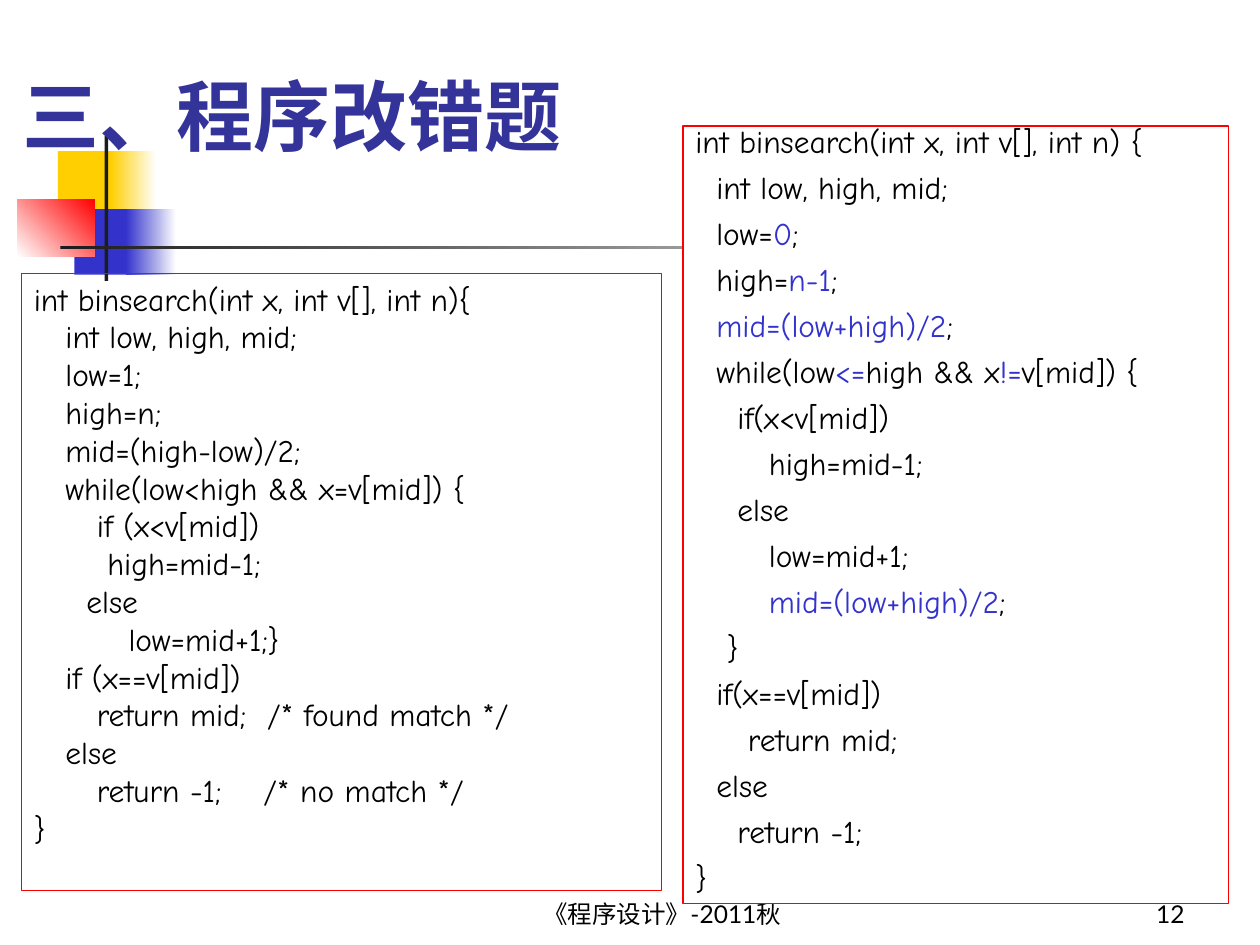
from dataclasses import dataclass

from pptx import Presentation
from pptx import util as u
from pptx.dml.color import RGBColor
from pptx.enum import shapes, text


@dataclass(frozen=True)
class Theme:
    font: str = "Comic Neue"
    small: str = "Lato"
    black: str = "000000"
    white: str = "FFFFFF"
    ink: str = "1C1C1C"
    gold: str = "FFCF01"
    blue: str = "3333CC"
    navy: str = "333399"
    red: str = "FF0000"
    head: int = 44
    code: int = 18
    foot: int = 14


T = Theme()

# Backticks enclose the corrected parts of the code
FAULTY = """int binsearch(int x, int v[], int n){
   int low, high, mid;
   low=1;
   high=n;
   mid=(high-low)/2;
   while(low<high && x=v[mid]) {
      if (x<v[mid])
\t high=mid-1;
     else
         low=mid+1;}
   if (x==v[mid])
\treturn mid;  /* found match */
   else 
\treturn -1;    /* no match */
}"""

FIXED = """int binsearch(int x, int v[], int n) {
  int low, high, mid;
  low=`0`;
  high=`n-1`;
  `mid=(low+high)/2`;
  while(low`<=`high && x`!=`v[mid]) {
    if(x<v[mid])
       high=mid-1;
    else
       low=mid+1;
       `mid=(low+high)/2`;
   }
  if(x==v[mid])
     return mid;
  else
    return -1;
}"""


def rgb(code):
    return RGBColor.from_string(code)


def style(font, size, name, color, bold=False):
    font.size, font.name, font.bold = u.Pt(size), name, bold
    font.color.rgb = rgb(color)


def place(shape, box):
    shape.left, shape.top, shape.width, shape.height = map(u.Inches, box)


def block(slide, box, fill=None, line=None):
    """Rectangle; fill is None, one colour or (start, end, angle)."""
    rect = slide.shapes.add_shape(shapes.MSO_SHAPE.RECTANGLE, *map(u.Inches, box))
    rect.shadow.inherit = False
    if fill is None:
        rect.fill.background()
    elif isinstance(fill, str):
        rect.fill.solid()
        rect.fill.fore_color.rgb = rgb(fill)
    else:
        start, end, angle = fill
        rect.fill.gradient()
        rect.fill.gradient_angle = angle
        for stop, color, pos in zip(rect.fill.gradient_stops, (start, end), (0, 1)):
            stop.color.rgb = rgb(color)
            stop.position = pos
    if line:
        rect.line.color.rgb = rgb(line)
        rect.line.width = u.Pt(0.75)
    else:
        rect.line.fill.background()
    return rect


def motif(slide, box):
    """Coloured squares crossed by two dark bars."""
    x, y, w, h = box
    parts = [
        (0.32, 0.12, 0.48, 0.52, T.gold),
        (0.74, 0.12, 0.36, 0.52, (T.gold, T.white, 0)),
        (0.45, 0.58, 0.46, 0.52, T.blue),
        (0.86, 0.58, 0.4, 0.52, (T.blue, T.white, 0)),
        (0, 0.5, 0.61, 0.46, (T.white, T.red, 45)),
        (0.69, 0, 0.03, h, T.ink),
        (0.34, 0.87, w - 0.34, 0.03, (T.ink, T.white, 0)),
    ]
    for dx, dy, wide, high, fill in parts:
        block(slide, (x + dx, y + dy, wide, high), fill)


def header(slide, box, words):
    title = slide.shapes.title
    place(title, box)
    frame = title.text_frame
    frame.text = words
    frame.auto_size = text.MSO_AUTO_SIZE.NONE
    frame.vertical_anchor = text.MSO_ANCHOR.BOTTOM
    para = frame.paragraphs[0]
    para.alignment = text.PP_ALIGN.LEFT
    style(para.font, T.head, T.font, T.navy, True)
    # Bring the title in front of the motif
    title.element.getparent().append(title.element)


def note(slide, box, words, align):
    """Footer or page number."""
    frame = slide.shapes.add_textbox(*map(u.Inches, box)).text_frame
    frame.word_wrap = True
    frame.vertical_anchor = text.MSO_ANCHOR.BOTTOM
    para = frame.paragraphs[0]
    para.text, para.alignment = words, align
    style(para.font, T.foot, T.small, T.black)


def listing(slide, box, code, align, fill=None, pitch=None, gap=0):
    """Framed code, with the backticked parts in blue."""
    frame = block(slide, box, fill, T.red).text_frame
    frame.word_wrap = True
    frame.vertical_anchor = text.MSO_ANCHOR.TOP
    for row, line in enumerate(code.split("\n")):
        para = frame.add_paragraph() if row else frame.paragraphs[0]
        para.alignment = align
        para.line_spacing = pitch
        para.space_before = u.Pt(gap if row else 0)
        style(para.font, T.code, T.font, T.black)
        for part, words in enumerate(line.split("`")):
            if words:
                run = para.add_run()
                run.text = words
                style(run.font, T.code, T.font, T.blue if part % 2 else T.black)


def main():
    deck = Presentation()
    deck.slide_width, deck.slide_height = u.Inches(10), u.Inches(7.5)
    slide = deck.slides.add_slide(deck.slide_layouts[5])
    align = text.PP_ALIGN

    # Backdrop and footer
    motif(slide, (0.14, 1.08, 9.34, 1.15))
    note(slide, (3.67, 6.92, 3.17, 0.5), "《程序设计》-2011秋", align.CENTER)
    note(slide, (7.42, 6.92, 2.08, 0.5), "12", align.RIGHT)

    # Title and the two versions of the program
    header(slide, (0.08, 0.08, 8.52, 1.25), "三、程序改错题")
    listing(slide, (0.17, 2.17, 5.08, 4.9), FAULTY, align.JUSTIFY)
    listing(slide, (5.42, 1, 4.33, 6.17), FIXED, align.LEFT, T.white, 0.7, 11.2)

    deck.save("out.pptx")


if __name__ == "__main__":
    main()
